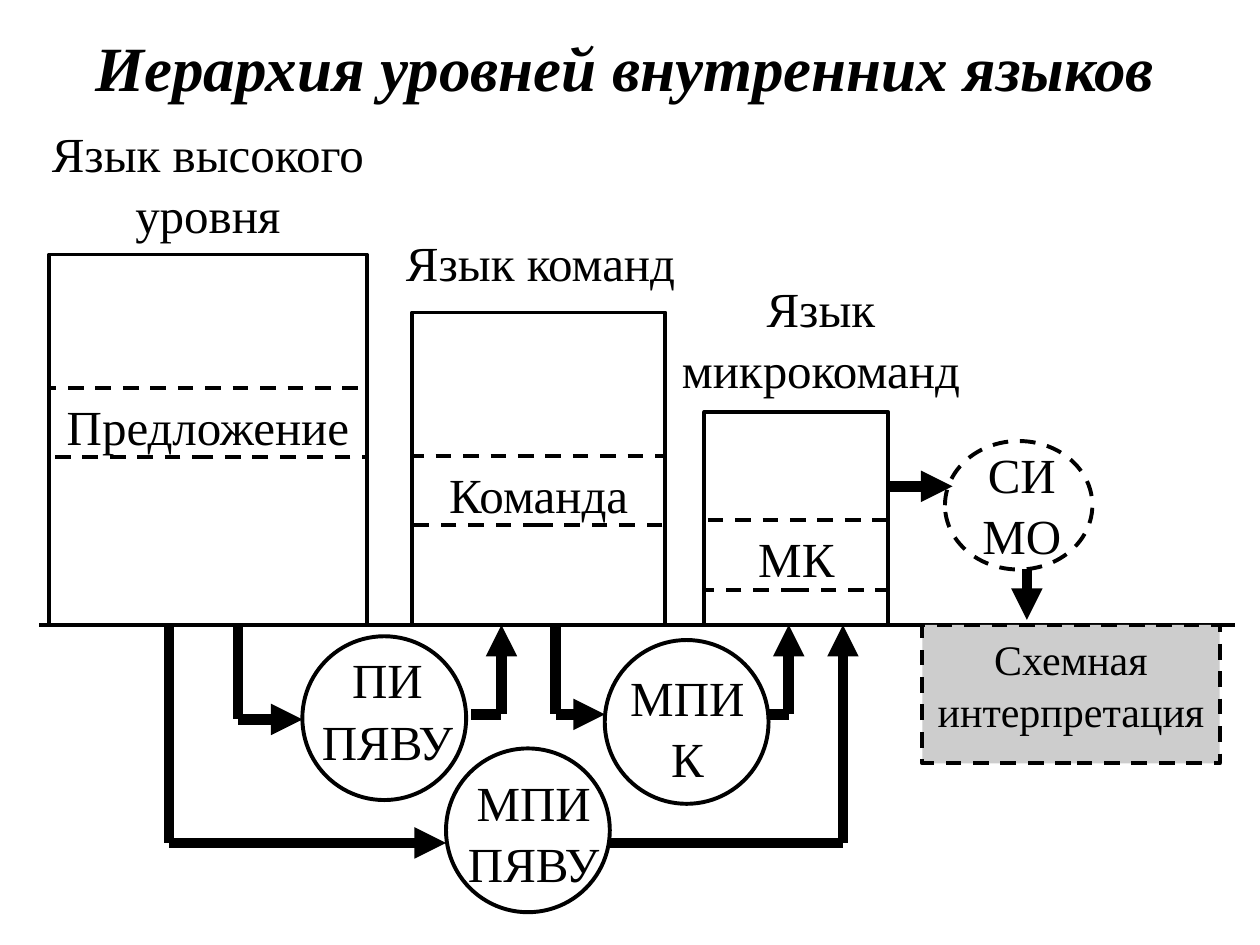
from lxml import etree
from pptx import Presentation
from pptx.dml.color import RGBColor
from pptx.enum.dml import MSO_LINE
from pptx.enum.shapes import MSO_CONNECTOR, MSO_SHAPE
from pptx.enum.text import MSO_ANCHOR, PP_ALIGN
from pptx.oxml.ns import qn
from pptx.util import Inches, Pt

STRAIGHT = MSO_CONNECTOR.STRAIGHT
RECTANGLE = MSO_SHAPE.RECTANGLE
OVAL = MSO_SHAPE.OVAL
DASH = MSO_LINE.DASH
CENTER = PP_ALIGN.CENTER
TOP = MSO_ANCHOR.TOP
MIDDLE = MSO_ANCHOR.MIDDLE

COLORS = {"ink": "000000", "panel": "CDCDCD"}
FONT = "Times New Roman"
COLUMNS, ROWS = 100, 75
BASE = 49.6
BAND = 5.5
CIRCLE = 13


class Diagram:
    def __init__(self, deck):
        self.deck = deck
        self.slide = deck.slides.add_slide(deck.slide_layouts[5])
        self.shapes = self.slide.shapes

    def x(self, columns):
        return round(self.deck.slide_width * columns / COLUMNS)

    def y(self, rows):
        return round(self.deck.slide_height * rows / ROWS)

    def area(self, left, top, width, height):
        return self.x(left), self.y(top), self.x(width), self.y(height)

    def color(self, name):
        return RGBColor.from_string(COLORS[name])

    def fill_text(self, box, lines, size=28, anchor=TOP, strong=False, spacing=1.04):
        frame = box.text_frame
        frame.word_wrap = True
        frame.vertical_anchor = anchor
        for index, line in enumerate(lines):
            para = frame.add_paragraph() if index else frame.paragraphs[0]
            para.alignment = CENTER
            para.line_spacing = spacing
            span = para.add_run()
            span.text = line
            span.font.name = FONT
            span.font.size = Pt(size)
            span.font.bold = span.font.italic = strong
            span.font.color.rgb = self.color("ink")

    def title(self, text, *area):
        box = self.shapes.title
        box.left, box.top, box.width, box.height = self.area(*area)
        self.fill_text(box, [text], 36, MIDDLE, True, 1)

    def text(self, lines, *area):
        self.fill_text(self.shapes.add_textbox(*self.area(*area)), lines)

    def outline(self, kind, *area, dashed=False, fill=None, lines=(), size=28):
        shape = self.shapes.add_shape(kind, *self.area(*area))
        shape.shadow.inherit = False
        if fill:
            shape.fill.solid()
            shape.fill.fore_color.rgb = self.color(fill)
        else:
            shape.fill.background()
        shape.line.color.rgb = self.color("ink")
        shape.line.width = Pt(2.25)
        if dashed:
            shape.line.dash_style = DASH
        self.fill_text(shape, lines, size)

    def level(self, left, top, width, band_top, word):
        self.outline(RECTANGLE, left, top, width, BASE - top)
        self.outline(RECTANGLE, left, band_top, width, BAND, dashed=True, lines=[word])

    def line(self, start, end, width=6, arrow=False):
        ends = self.x(start[0]), self.y(start[1]), self.x(end[0]), self.y(end[1])
        link = self.shapes.add_connector(STRAIGHT, *ends)
        link.line.color.rgb = self.color("ink")
        link.line.width = Pt(width)
        properties = link._element.spPr
        if arrow:
            etree.SubElement(properties.find(qn("a:ln")), qn("a:tailEnd"), type="triangle")
        etree.SubElement(properties, qn("a:effectLst"))

    def route(self, *points):
        last = len(points) - 2
        for index, (start, end) in enumerate(zip(points, points[1:])):
            self.line(start, end, arrow=index == last)


def main():
    deck = Presentation()
    deck.slide_width, deck.slide_height = Inches(10), Inches(7.5)
    page = Diagram(deck)
    page.title("Иерархия уровней внутренних языков", -0.4, 0.9, 100, 8.7)

    for level in (
        (3.9, 20.2, 25.2, 30.8, "Предложение"),
        (32.7, 24.8, 20.1, 36.2, "Команда"),
        (55.9, 32.7, 14.6, 41.3, "МК"),
    ):
        page.level(*level)
    page.line((3.1, BASE), (98, BASE), 2.25)
    page.outline(RECTANGLE, 73.2, BASE, 23.6, 11, dashed=True, fill="panel",
                 lines=["Схемная интерпретация"], size=24)

    for lines, *area in (
        (["Язык высокого уровня"], 2.3, 9.1, 28.4, 9.5),
        (["Язык команд"], 30.3, 17.8, 25.2, 5.4),
        (["Язык микрокоманд"], 48.8, 21.4, 32.7, 9.7),
        (["ПИ", "ПЯВУ"], 21.3, 50.9, 18.9, 11),
        (["МПИ", "ПЯВУ"], 33.9, 60.6, 16.9, 10.2),
        (["МПИ", "К"], 46.1, 52.3, 16.9, 10.2),
        (["СИ", "МО"], 73.6, 34.6, 15, 8.4),
    ):
        page.text(lines, *area)

    for left, top in ((24, 50.5), (35.4, 59.4), (48, 50.8)):
        page.outline(OVAL, left, top, CIRCLE, CIRCLE)
    page.outline(OVAL, 75, 35, 11.7, 10.2, dashed=True)

    for points in (
        ((18.9, BASE), (18.9, 57.1), (24, 57.1)),
        ((37.4, 56.7), (39.8, 56.7), (39.8, BASE)),
        ((44.1, BASE), (44.1, 56.7), (48, 56.7)),
        ((61, 56.7), (62.6, 56.7), (62.6, BASE)),
        ((13.4, BASE), (13.4, 66.9), (35.4, 66.9)),
        ((48.4, 66.9), (66.9, 66.9), (66.9, BASE)),
        ((70.5, 38.6), (75.6, 38.6)),
        ((81.5, 45.2), (81.5, 49.2)),
    ):
        page.route(*points)

    deck.save("out.pptx")


if __name__ == "__main__":
    main()
